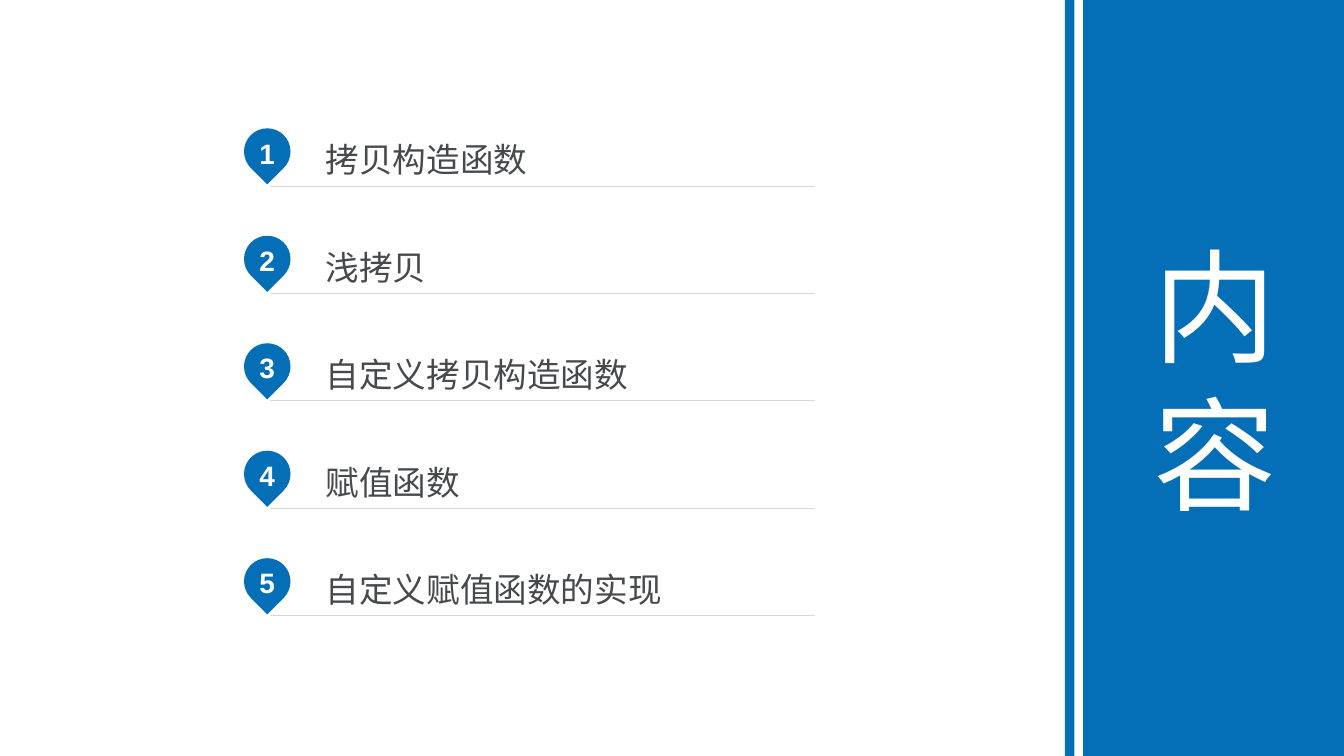
"""Build a contents slide with numbered pins and a title panel."""
import itertools
import math

import pptx
import pptx.dml.color
import pptx.enum.shapes
import pptx.enum.text
import pptx.oxml
import pptx.util

WIDTH = pptx.util.Inches(13.34)
HEIGHT = pptx.util.Inches(7.5)
FONT = "Arial"
COLORS = {"blue": "046FB6", "white": "FFFFFF", "text": "47494B", "rule": "D7D7D7"}
ITEMS = ["拷贝构造函数", "浅拷贝", "自定义拷贝构造函数", "赋值函数", "自定义赋值函数的实现"]
FIRST_ROW, LAST_ROW = 16.97, 73.83
ALIGN = pptx.enum.text.PP_ALIGN


def across(percent):
    """Return a share of the slide width."""
    return round(WIDTH * percent / 100)


def down(percent):
    """Return a share of the slide height."""
    return round(HEIGHT * percent / 100)


def box(left, top, width, height):
    """Return a position and size given in shares of the slide."""
    return across(left), down(top), across(width), down(height)


def rgb(name):
    """Return a named colour."""
    return pptx.dml.color.RGBColor.from_string(COLORS[name])


def fill(sp, color):
    """Give a shape a plain fill without a line or shadow."""
    sp.fill.solid()
    sp.fill.fore_color.rgb = rgb(color)
    sp.line.fill.background()


def write(sp, text, *, size, color, bold=False, align=ALIGN.CENTER,
          spacing=1.0, margins=(0.1, 0.05, 0.1, 0.05)):
    """Write formatted text, vertically centred, into a shape."""
    tf = sp.text_frame
    tf.word_wrap = True
    tf.auto_size = pptx.enum.text.MSO_AUTO_SIZE.NONE
    tf.vertical_anchor = pptx.enum.text.MSO_ANCHOR.MIDDLE
    tf.margin_left, tf.margin_top, tf.margin_right, tf.margin_bottom = map(
        pptx.util.Inches, margins)
    p = tf.paragraphs[0]
    p.alignment = align
    p.line_spacing = spacing
    r = p.add_run()
    r.text = text
    r.font.name = FONT
    r.font.size = pptx.util.Pt(size)
    r.font.bold = bold
    r.font.color.rgb = rgb(color)


def arc_points(cx, cy, radius, start, end):
    """Return the two handles and the end point of a circular arc."""
    a, b = math.radians(start), math.radians(end)
    k = 4 / 3 * math.tan((b - a) / 4)
    points = [(math.cos(a) - k * math.sin(a), math.sin(a) + k * math.cos(a)),
              (math.cos(b) + k * math.sin(b), math.sin(b) - k * math.cos(b)),
              (math.cos(b), math.sin(b))]
    return [(round(cx + radius * x), round(cy + radius * y)) for x, y in points]


def curve(sp, count):
    """Turn the first segments of an outline, three by three, into curves."""
    qn = pptx.oxml.ns.qn
    outline = next(sp._element.iter(qn("a:path")))
    lines = outline.findall(qn("a:lnTo"))
    for i in range(0, 3 * count, 3):
        bezier = outline.makeelement(qn("a:cubicBezTo"), {})
        lines[i].addprevious(bezier)
        for line in lines[i:i + 3]:
            bezier.append(line[0])
            outline.remove(line)


def add_pin(s, number, top):
    """Draw a numbered drop-shaped pin."""
    radius = across(1.73)
    cx, cy = across(18.16) + radius, down(top) + radius
    arcs = list(itertools.pairwise([135, 180, 270, 360, 405]))
    points = [point for arc in arcs for point in arc_points(cx, cy, radius, *arc)]
    tip = (cx, round(cy + radius * math.sqrt(2)))
    start = (2 * cx - points[-1][0], points[-1][1])
    builder = s.shapes.build_freeform(*start)
    builder.add_line_segments(points + [tip], close=True)
    sp = builder.convert_to_shape()
    curve(sp, len(arcs))
    sp.shadow.inherit = False
    fill(sp, "blue")
    write(sp, str(number), size=20, color="white", bold=True,
          margins=(0.1, 0.05, 0.1, 0.12))


def add_item(s, text, top):
    """Draw a ruled row that holds the text of an item."""
    left, right, upper, lower = across(20.12), across(60.6), down(top), down(top + 7.33)
    builder = s.shapes.build_freeform(left, lower)
    builder.add_line_segments([(right, lower), (left, lower)], close=True)
    builder.move_to(left, upper)
    builder.add_line_segments([(left, upper)], close=True)
    sp = builder.convert_to_shape()
    sp.shadow.inherit = False
    sp.fill.background()
    sp.line.color.rgb = rgb("rule")
    sp.line.width = pptx.util.Pt(0.25)
    write(sp, text, size=24, color="text", align=ALIGN.LEFT, spacing=1.17,
          margins=(0.55, 0, 0, 0.04))


def add_panel(s, text):
    """Format the title as a side panel with a thin strip beside it."""
    title = s.shapes.title
    title.left, title.top, title.width, title.height = box(80.6, 0, 19.4, 100)
    fill(title, "blue")
    write(title, text, size=88, color="white", margins=(0.11, 0.05, 0.09, 0.05))
    strip = s.shapes.add_shape(pptx.enum.shapes.MSO_SHAPE.RECTANGLE,
                               *box(79.24, 0, 0.7, 100))
    strip.shadow.inherit = False
    fill(strip, "blue")


def main():
    """Build and save the slide."""
    prs = pptx.Presentation()
    prs.slide_width, prs.slide_height = WIDTH, HEIGHT
    s = prs.slides.add_slide(prs.slide_layouts.get_by_name("Title Only"))
    pitch = (LAST_ROW - FIRST_ROW) / (len(ITEMS) - 1)
    for i, text in enumerate(ITEMS):
        top = FIRST_ROW + i * pitch
        add_pin(s, i + 1, top)
        add_item(s, text, top + 0.27)
    add_panel(s, "内容")
    prs.save("out.pptx")


if __name__ == "__main__":
    main()
